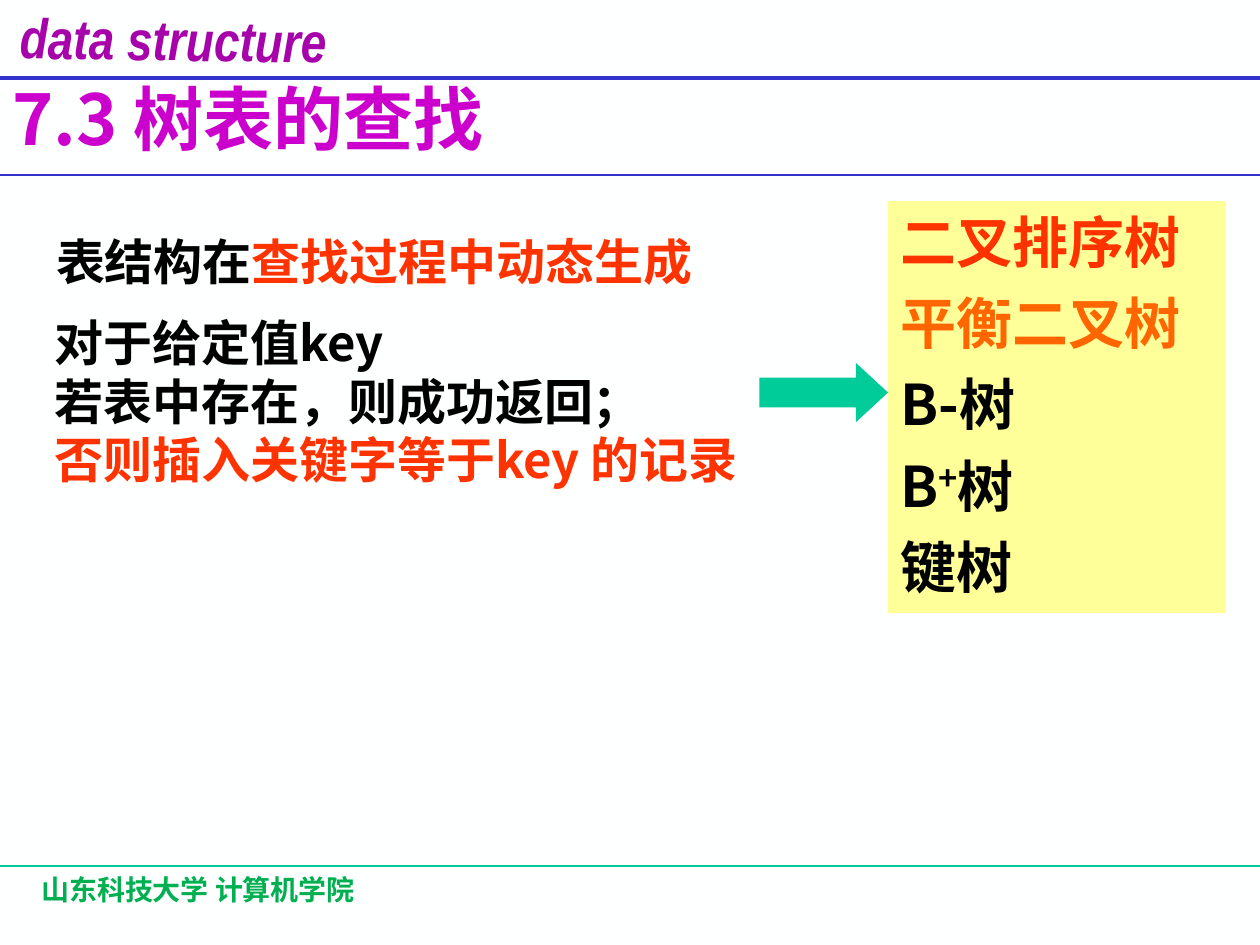
from dataclasses import dataclass

from lxml import etree
from pptx import Presentation
from pptx.dml.color import RGBColor
from pptx.enum.shapes import MSO_CONNECTOR, MSO_SHAPE
from pptx.enum.text import MSO_ANCHOR, MSO_AUTO_SIZE, PP_ALIGN
from pptx.oxml.ns import qn
from pptx.util import Pt

STRAIGHT = MSO_CONNECTOR.STRAIGHT
RECTANGLE = MSO_SHAPE.RECTANGLE
RIGHT_ARROW = MSO_SHAPE.RIGHT_ARROW
TOP = MSO_ANCHOR.TOP
NO_AUTOFIT = MSO_AUTO_SIZE.NONE
LEFT = PP_ALIGN.LEFT
CENTER = PP_ALIGN.CENTER


@dataclass(frozen=True)
class Theme:
    background: str = "FEFFFF"
    text: str = "000000"
    accent: str = "FF3300"
    orange: str = "FF6600"
    panel: str = "FFFF99"
    teal: str = "00CC99"
    blue: str = "3333CC"
    title: str = "CC00CC"
    banner: str = "A603AB"
    footer: str = "00B050"
    font: str = "Noto Sans CJK SC"
    banner_font: str = "Arial Narrow"
    title_size: int = 40
    large_size: int = 32
    body_size: int = 28
    footer_size: int = 16
    leading: float = 1.2


THEME = Theme()


def color(value):
    return RGBColor.from_string(value)


def place(shape, left, top, width, height):
    shape.left, shape.top = Pt(left), Pt(top)
    shape.width, shape.height = Pt(width), Pt(height)


def style_span(span, size, shade, font):
    span.font.name = font
    span.font.size = Pt(size)
    span.font.bold = True
    span.font.color.rgb = color(shade)
    east_asian = etree.SubElement(span.font._element, qn("a:ea"))
    east_asian.set("typeface", font)


def write(shape, lines, size, wrap=True, space_before=0):
    frame = shape.text_frame
    frame.word_wrap = wrap
    frame.auto_size = NO_AUTOFIT
    frame.vertical_anchor = TOP
    frame.margin_left = frame.margin_right = Pt(7.2)
    frame.margin_top = frame.margin_bottom = Pt(3.6)
    for index, line in enumerate(lines):
        para = frame.add_paragraph() if index else frame.paragraphs[0]
        para.alignment = LEFT
        para.line_spacing = Pt(size * THEME.leading)
        para.space_before = Pt(space_before if index else 0)
        for text, shade in line:
            span = para.add_run()
            span.text = text
            style_span(span, size, shade, THEME.font)
    return frame


def add_text(page, box, lines, size, wrap=True):
    shape = page.shapes.add_textbox(*(Pt(length) for length in box))
    write(shape, lines, size, wrap)


def add_rule(page, top, width, shade, weight):
    rule = page.shapes.add_connector(STRAIGHT, Pt(0), Pt(top), Pt(width), Pt(top))
    rule.line.color.rgb = color(shade)
    rule.line.width = Pt(weight)
    etree.SubElement(rule._element.spPr, qn("a:effectLst"))


def add_block(page, kind, box, fill):
    shape = page.shapes.add_shape(kind, *(Pt(length) for length in box))
    shape.shadow.inherit = False
    shape.fill.solid()
    shape.fill.fore_color.rgb = color(fill)
    shape.line.fill.background()
    return shape


def add_header(page, left, top, width):
    add_rule(page, top + 44.64, width, THEME.blue, 2.25)
    banner = page.shapes.add_textbox(Pt(left), Pt(top - 0.72), Pt(198), Pt(38.88))
    banner.rotation = 0.8
    banner.text_frame.word_wrap = True
    banner.text_frame.text = "data structure"
    para = banner.text_frame.paragraphs[0]
    para.alignment = CENTER
    span = para.runs[0]
    style_span(span, THEME.large_size, THEME.banner, THEME.banner_font)
    span.font.italic = True
    place(page.shapes.title, left, top + 39.6, 484.56, 55.2)
    write(page.shapes.title, [[("7.3 树表的查找", THEME.title)]], THEME.title_size)
    add_rule(page, top + 100.08, width, THEME.blue, 1)


def add_explanation(page, left, top):
    summary = [[("表结构在", THEME.text), ("查找过程中动态生成", THEME.accent)]]
    add_text(page, (left + 0.72, top, 378, 41.04), summary, THEME.body_size, wrap=False)
    steps = [
        [("对于给定值key", THEME.text)],
        [("若表中存在，则成功返回；", THEME.text)],
        [("否则插入关键字等于key 的记录", THEME.accent)],
    ]
    add_text(page, (left, top + 46.08, 409.68, 141.84), steps, THEME.body_size)


def add_tree_panel(page, left, top, width, height):
    panel = add_block(page, RECTANGLE, (left, top, width, height), THEME.panel)
    trees = [
        [("二叉排序树", THEME.accent)],
        [("平衡二叉树", THEME.orange)],
        [("B-树", THEME.text)],
        [("B", THEME.text), ("+", THEME.text), ("树", THEME.text)],
        [("键树", THEME.text)],
    ]
    frame = write(panel, trees, THEME.large_size, space_before=8)
    frame.paragraphs[3].runs[1].font._element.set("baseline", "30000")
    arrow_width = 73.44
    arrow = add_block(page, RIGHT_ARROW, (left - arrow_width, top + 92.4, arrow_width, 33.84), THEME.teal)
    arrow.adjustments[0] = 0.5
    arrow.adjustments[1] = 0.54


def add_footer(page, left, top, width):
    add_rule(page, top, width, THEME.teal, 0.75)
    label = [[("山东科技大学 计算机学院", THEME.footer)]]
    add_text(page, (left + 16.56, top, 298.08, 36), label, THEME.footer_size)


def main():
    deck = Presentation()
    deck.slide_width, deck.slide_height = Pt(720), Pt(540)
    page = deck.slides.add_slide(deck.slide_layouts[5])
    page.background.fill.solid()
    page.background.fill.fore_color.rgb = color(THEME.background)
    add_header(page, 0, 0, 720)
    add_explanation(page, 24.2, 128.88)
    add_tree_panel(page, 507.4, 115, 192.96, 235.44)
    add_footer(page, 0, 494.8, 720)
    deck.save("out.pptx")


if __name__ == "__main__":
    main()
